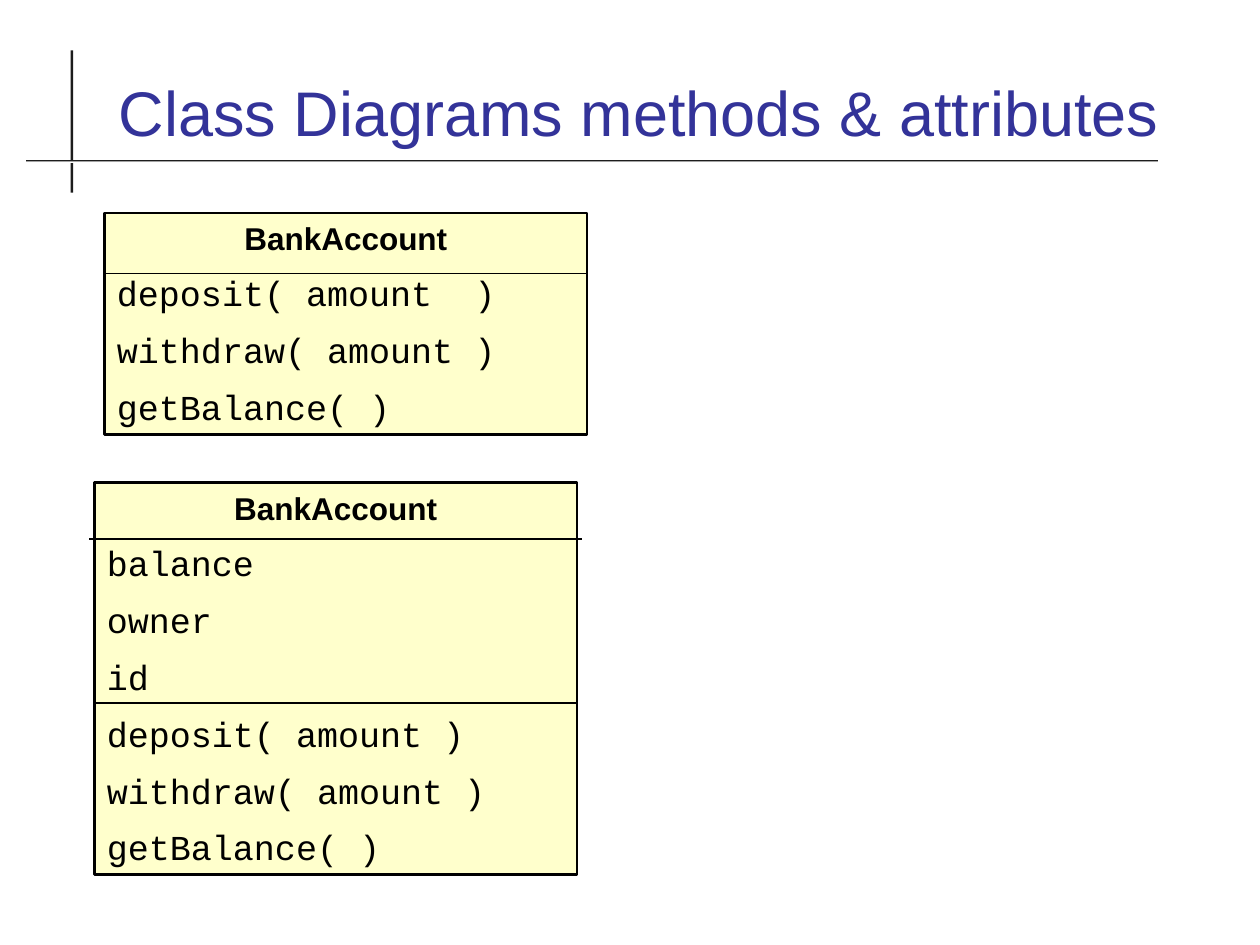
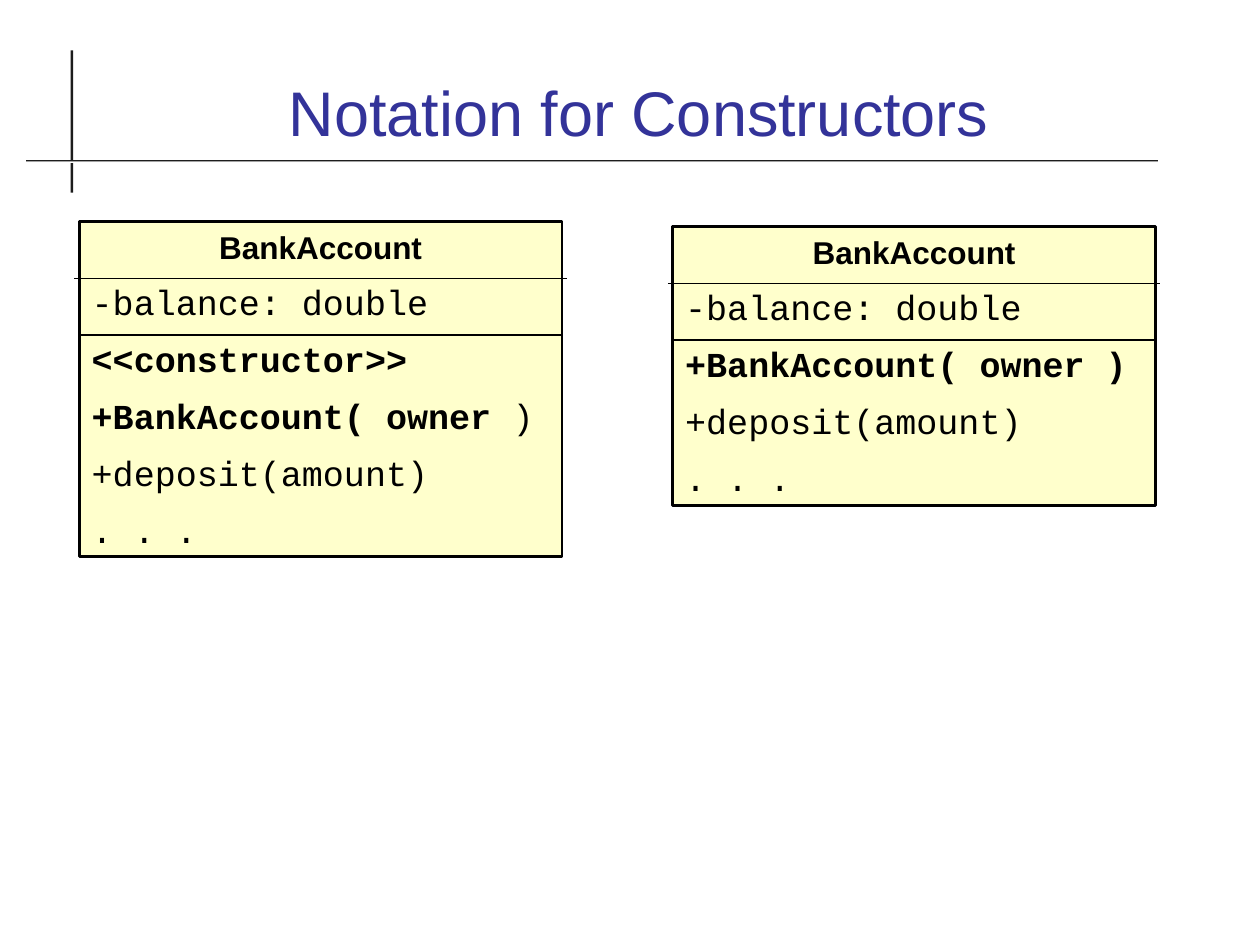
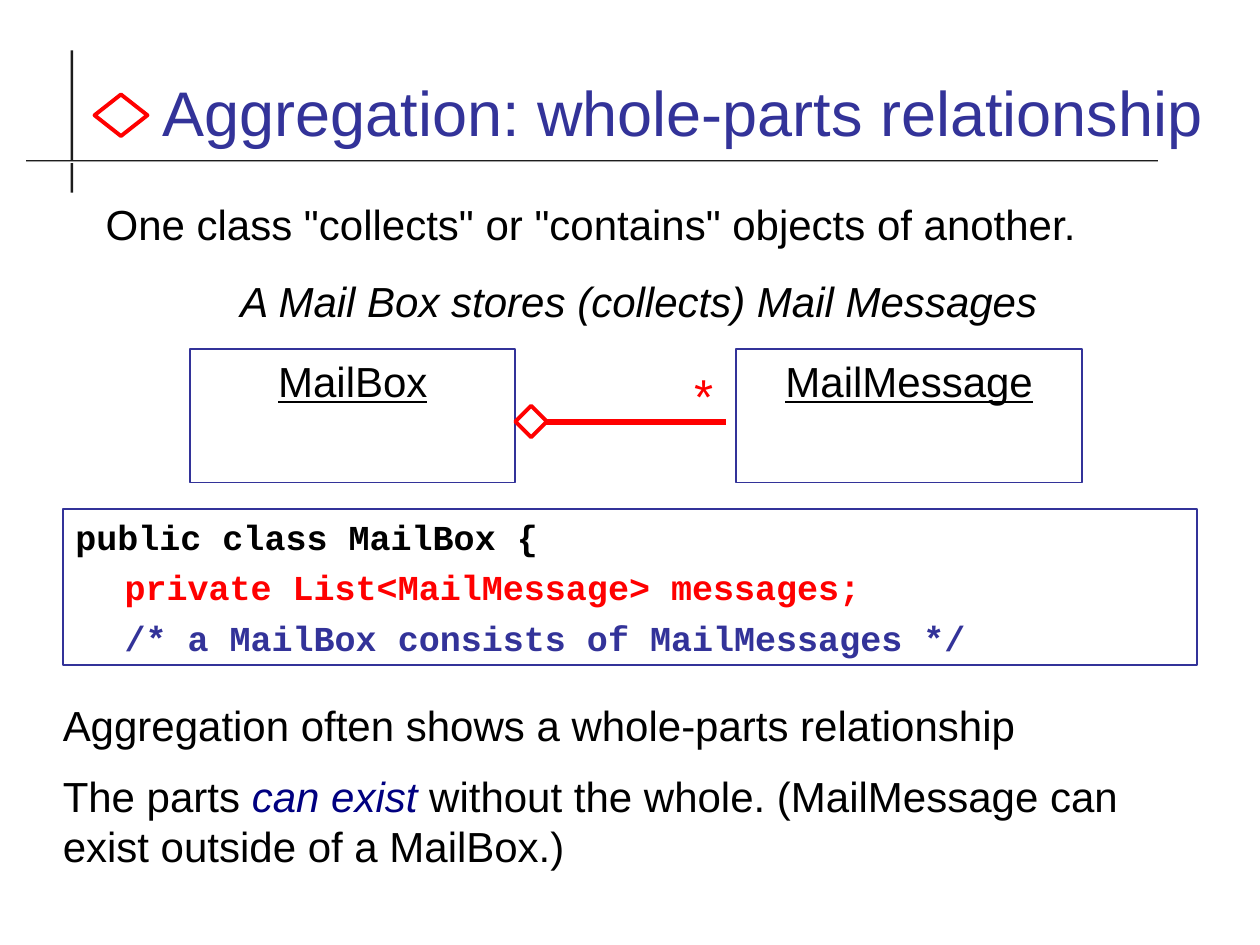
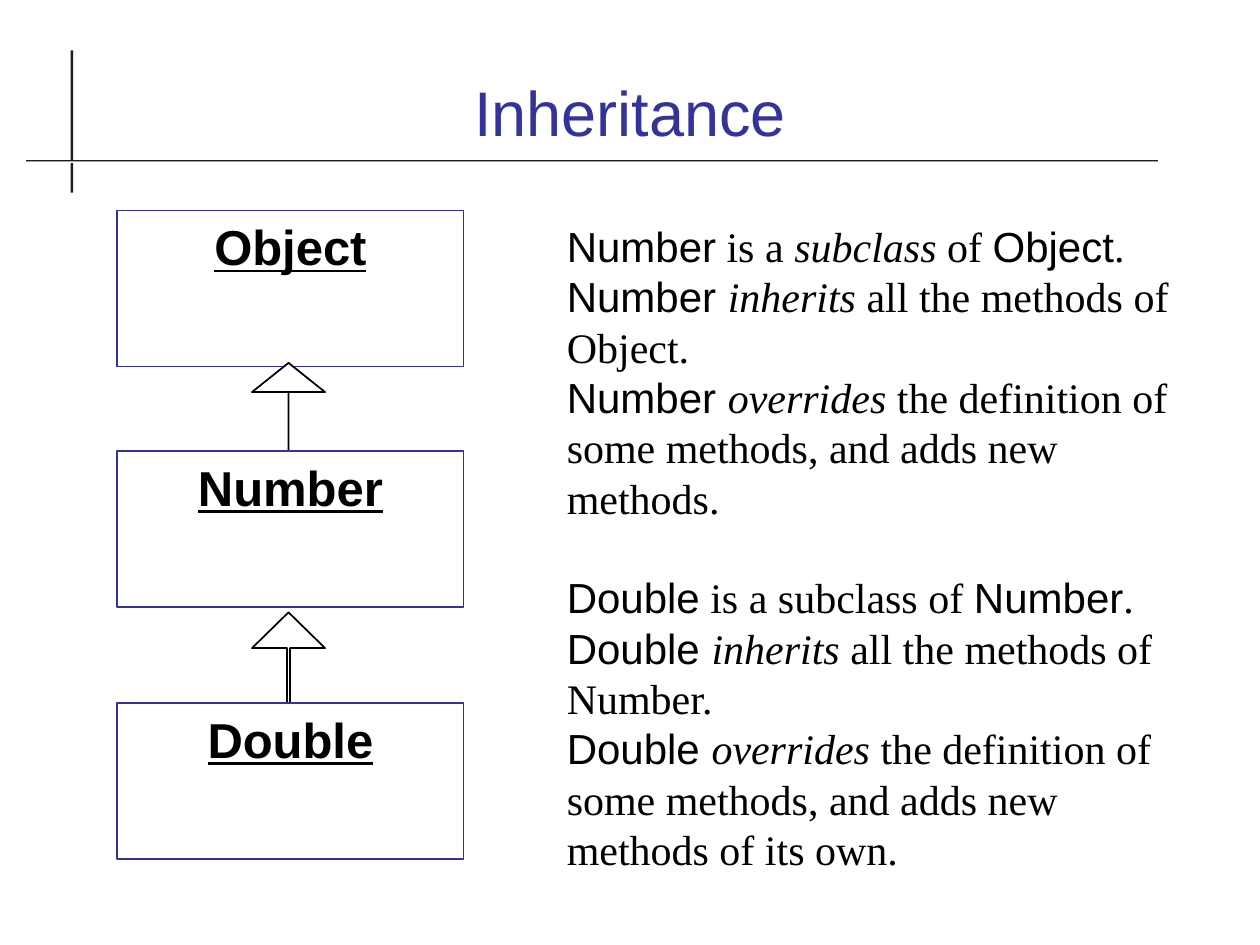
import pptx
import pptx.dml.color
import pptx.enum.dml
import pptx.enum.shapes
import pptx.enum.text
import pptx.oxml
import pptx.oxml.ns
import pptx.util

Inches = pptx.util.Inches
Pt = pptx.util.Pt
hue = pptx.dml.color.RGBColor.from_string
kinds = pptx.enum.shapes.MSO_SHAPE
LEFT = pptx.enum.text.PP_ALIGN.LEFT
MID = pptx.enum.text.PP_ALIGN.CENTER
RIGHT = pptx.enum.text.PP_ALIGN.RIGHT
TOP = pptx.enum.text.MSO_ANCHOR.TOP

BLACK, WHITE, DARK = "000000", "FFFFFF", "1C1C1C"
BLUE, NAVY, RED, CREAM = "333399", "000080", "FF0000", "FFFFCC"

head = {"name": "Arial", "size": Pt(36), "color": BLUE}
name = {"name": "Arial", "size": Pt(18), "bold": True, "color": BLACK}
code = {"name": "Courier New", "size": Pt(20), "color": BLACK}
body = {"name": "Arial", "size": Pt(24), "color": BLACK}
under = {**body, "underline": True}
label = {**under, "size": Pt(28), "bold": True}
serif = {"name": "Times New Roman"}
slant = {"name": "Times New Roman", "italic": True}
strong = {"bold": True}


def draw(slide, kind, at, fill=None, line=None, width=1):
    shape = slide.shapes.add_shape(kind, *map(Inches, at))
    shape.shadow.inherit = False
    if fill:
        shape.fill.solid()
        shape.fill.fore_color.rgb = hue(fill)
    else:
        shape.fill.background()
    if line:
        shape.line.color.rgb = hue(line)
        shape.line.width = Pt(width)
    else:
        shape.line.fill.background()
    return shape


def write(frame, paras, gap=0, anchor=TOP):
    frame.word_wrap = True
    frame.auto_size = pptx.enum.text.MSO_AUTO_SIZE.NONE
    frame.vertical_anchor = anchor
    for i, (align, base, runs) in enumerate(paras):
        para = frame.add_paragraph() if i else frame.paragraphs[0]
        para.alignment = align
        para.space_before = Pt(gap if i else 0)
        styles = [(para.font, base)]
        for text, extra in [(runs, {})] if isinstance(runs, str) else runs:
            if text == "\n":
                para.add_line_break()
                continue
            run = para.add_run()
            run.text = text
            styles.append((run.font, extra))
        for font, style in styles:
            for key, value in style.items():
                if key == "color":
                    font.color.rgb = hue(value)
                else:
                    setattr(font, key, value)


deck = pptx.Presentation()
deck.slide_width = Inches(10)
deck.slide_height = Inches(7.5)
plain = deck.slide_layouts[5]

slides = []
for title, width, pad in [
    ("Class Diagrams methods & attributes", 8.66, 0.24),
    ("Notation for Constructors", 8.66, 0.24),
    ("Aggregation: whole-parts relationship", 9.08, 0.52),
    ("Inheritance", 8.66, 0.1),
]:
    slide = deck.slides.add_slide(plain)
    holder = slide.shapes.title
    holder.left, holder.top = Inches(0.67), Inches(0.28)
    holder.width, holder.height = Inches(width), Inches(0.95)
    holder.text_frame.margin_left = Inches(pad)
    write(holder.text_frame, [(MID, head, title)], anchor=pptx.enum.text.MSO_ANCHOR.BOTTOM)
    slides.append(slide)
first, second, third, fourth = slides

post = draw(first, kinds.RECTANGLE, (0.56, 0.4, 0.02, 1.13), DARK)
rail = draw(first, kinds.RECTANGLE, (0.21, 1.27, 8.98, 0.02), DARK)
rail.fill.gradient()
rail.fill.gradient_angle = 90
for stop, tone, spot in zip(rail.fill.gradient_stops, (WHITE, DARK), (0, 1)):
    stop.color.rgb = hue(tone)
    stop.position = spot
for part in (post, rail):
    plain.shapes.element.append(part.element)

calls = ["withdraw( amount )", "getBalance( )"]
field = "-balance: double"
tail = ["+deposit(amount)", ". . ."]
rules = [(0.45, 0.04), (0.9, 0)]
lines = []
for slide, x, y, high, rows, marks in [
    (first, 0.83, 1.69, 1.76, ["deposit( amount  )"] + calls, [(0.48, 0)]),
    (first, 0.75, 3.83, 3.11, ["balance", "owner", "id", "deposit( amount )"] + calls,
     [(0.45, 0.04), (1.75, 0)]),
    (second, 5.34, 1.8, 2.21, [field, [("+BankAccount( owner )", strong)]] + tail, rules),
    (second, 0.63, 1.76, 2.66,
     [field, [("<<constructor>>", strong)], [("+BankAccount( owner ", strong), (")", {})]] + tail,
     rules),
]:
    box = draw(slide, kinds.RECTANGLE, (x, y, 3.83, high), CREAM, BLACK, 1.5)
    write(box.text_frame, [(MID, name, "BankAccount")] + [(LEFT, code, row) for row in rows], 8.5)
    for drop, over in marks:
        lines.append((slide, x - over, x + 3.83 + over, y + drop, BLACK, 1))

for x, width, text in [(1.51, 2.58, "MailBox"), (5.84, 2.75, "MailMessage")]:
    box = draw(third, kinds.RECTANGLE, (x, 2.77, width, 1.06), None, BLUE)
    write(box.text_frame, [(MID, under, text)])
lines.append((third, 4.18, 5.76, 3.35, RED, 3))

for slide, start, end, y, tone, width in lines:
    link = slide.shapes.add_connector(
        pptx.enum.shapes.MSO_CONNECTOR.STRAIGHT,
        Inches(start), Inches(y), Inches(end), Inches(y))
    link.line.color.rgb = hue(tone)
    link.line.width = Pt(width)
    if tone == RED:
        tip = pptx.oxml.parse_xml(f'<a:headEnd {pptx.oxml.ns.nsdecls("a")} type="diamond"/>')
        link.line._get_or_add_ln().append(tip)
    link.element.spPr.append(pptx.oxml.parse_xml(f'<a:effectLst {pptx.oxml.ns.nsdecls("a")}/>'))

bold = {**code, **strong}
box = draw(third, kinds.RECTANGLE, (0.5, 4.04, 9, 1.24), None, BLUE)
write(box.text_frame, [
    (LEFT, bold, "public class MailBox {"),
    (LEFT, {**bold, "color": RED}, "private List<MailMessage> messages;"),
    (LEFT, {**bold, "color": BLUE}, "/* a MailBox consists of MailMessages */"),
], 5)
for para in box.text_frame.paragraphs[1:]:
    para._p.get_or_add_pPr().set("marL", str(Inches(0.39)))

for at in [(4.09, 3.22, 0.25, 0.25), (0.75, 0.75, 0.42, 0.33)]:
    draw(third, kinds.DIAMOND, at, WHITE, RED, 2.25)

for i, (x, text) in enumerate([(0.93, "Object"), (0.93, "Number"), (0.93, "Double")]):
    box = draw(fourth, kinds.RECTANGLE, (x, (1.67, 3.58, 5.58)[i], 2.75, 1.24), WHITE, BLUE)
    write(box.text_frame, [(MID, label, text)])
    if i < 2:
        arrow = draw(fourth, kinds.UP_ARROW, (2, (2.88, 4.86)[i], 0.58, (0.92, 0.89)[i]), WHITE, BLACK)
        arrow.adjustments[0] = (0, 0.04)[i]
        arrow.adjustments[1] = (0.4, 0.49)[i]

for slide, at, gap, paras in [
    (third, (0.74, 1.53, 8.66, 1.37), 15, [
        (LEFT, body, 'One class "collects" or "contains" objects of another.'),
        (MID, {**body, "italic": True}, "A Mail Box stores (collects) Mail Messages"),
    ]),
    (third, (4.93, 2.85, 0.83, 0.57), 0, [
        (RIGHT, {**body, "size": Pt(28), "color": RED}, "*"),
    ]),
    (third, (0.4, 5.5, 9, 1.47), 12, [
        (LEFT, body, "Aggregation often shows a whole-parts relationship"),
        (LEFT, body, [
            ("The parts ", {}), ("can exist", {"color": NAVY, "italic": True}),
            (" without the whole. (MailMessage can exist outside of a MailBox.)", {}),
        ]),
    ]),
    (fourth, (4.4, 1.7, 5, 4.9), 28, [
        (LEFT, body, [
            ("Number", {}), (" is a ", serif), ("subclass", slant), (" of ", serif),
            ("Object", {}), (". ", serif), ("Number ", {}), ("inherits", slant),
            (" all the methods of Object.", serif), ("\n", {}),
            ("Number ", {}), ("overrides", slant),
            (" the definition of some methods, and adds new methods.", serif),
        ]),
        (LEFT, body, [
            ("Double", {}), (" is a subclass of ", serif), ("Number", {}), (". ", serif),
            ("Double ", {}), ("inherits ", slant), ("all the methods of Number.", serif),
            ("\n", {}), ("Double ", {}), ("overrides", slant),
            (" the definition of some methods, and adds new methods of its own.", serif),
        ]),
    ]),
]:
    note = slide.shapes.add_textbox(*map(Inches, at))
    write(note.text_frame, paras, gap)

deck.save("out.pptx")
